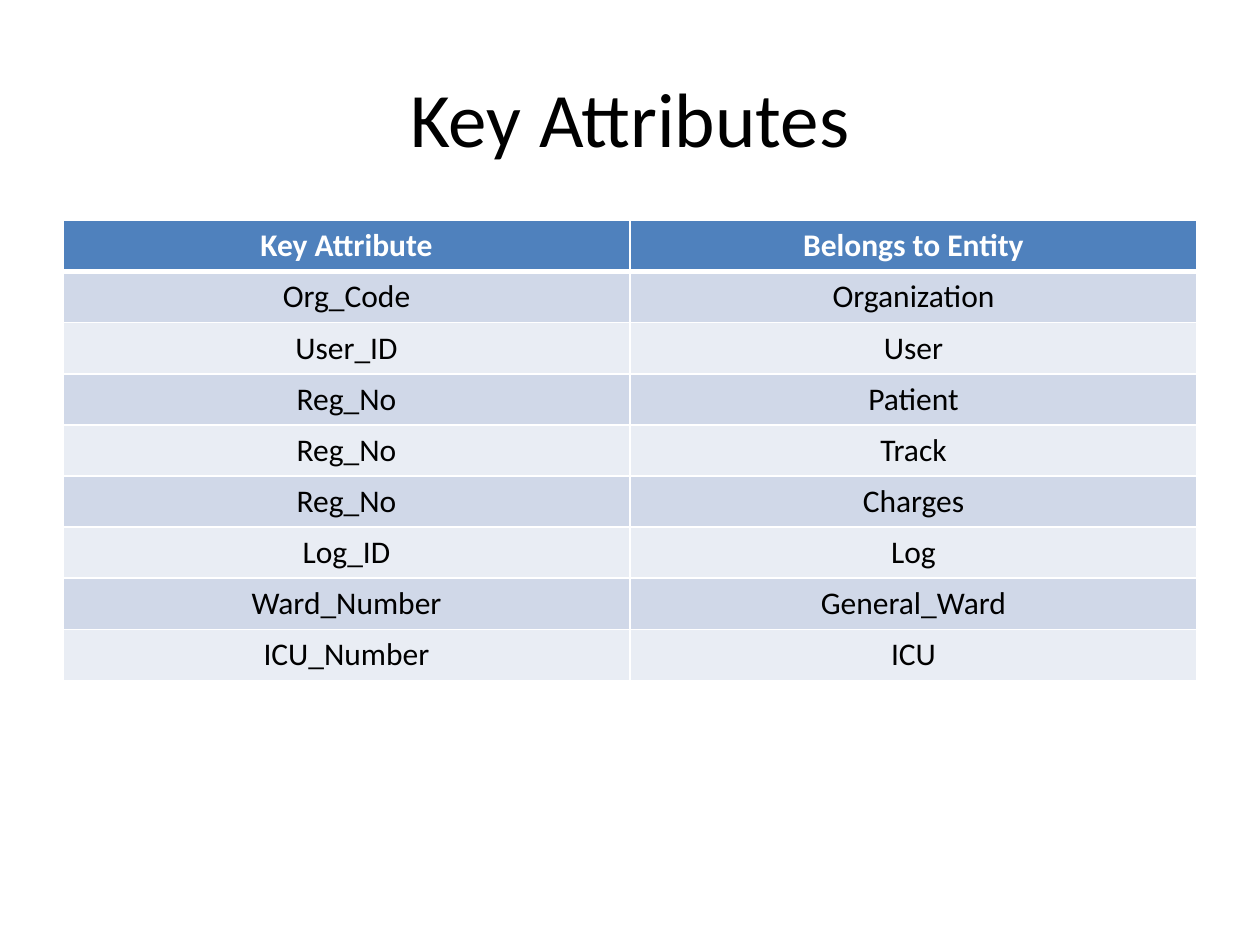
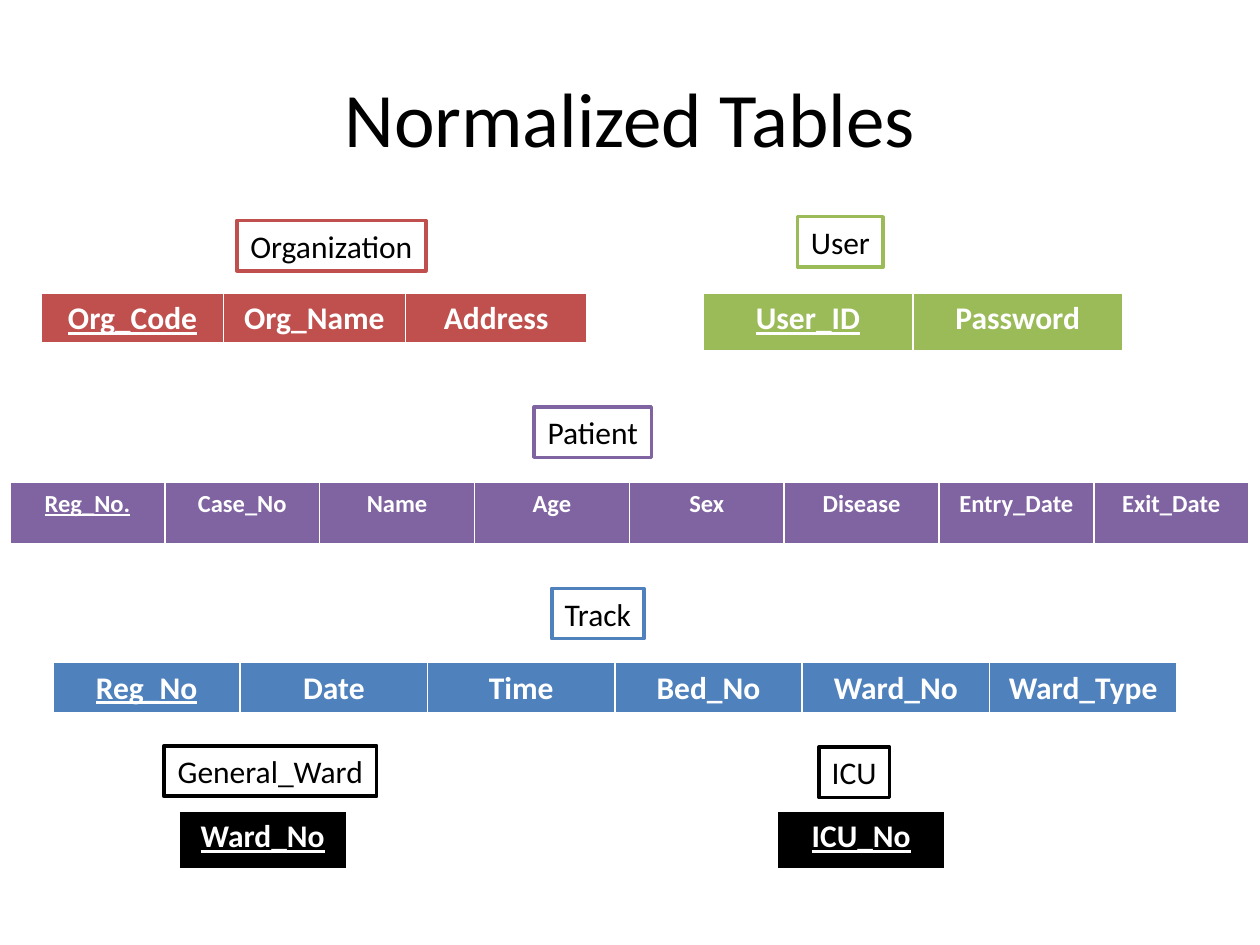
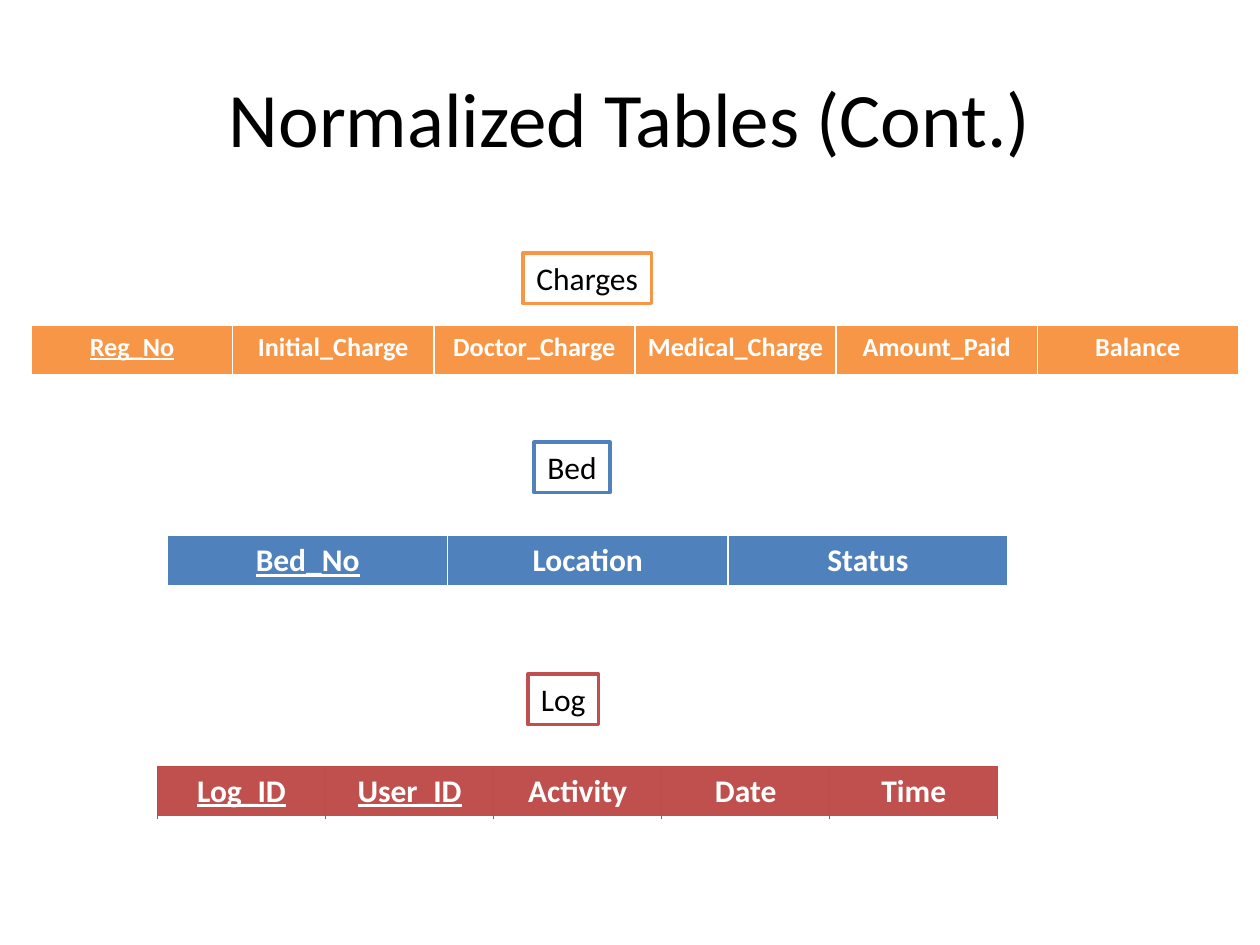
"""Build three slides that list the key attributes and normalized tables of a hospital database."""
from dataclasses import dataclass

from lxml.etree import SubElement
from pptx import Presentation
from pptx.dml.color import RGBColor
from pptx.enum.shapes import MSO_SHAPE
from pptx.enum.text import MSO_ANCHOR, MSO_AUTO_SIZE, PP_ALIGN
from pptx.oxml.ns import qn
from pptx.util import Inches, Pt

FONT = "Calibri"
BLACK = RGBColor(0x00, 0x00, 0x00)
WHITE = RGBColor(0xFF, 0xFF, 0xFF)
BLUE = RGBColor(0x4F, 0x81, 0xBD)
RED = RGBColor(0xC0, 0x50, 0x4D)
DARK_RED = RGBColor(0xBF, 0x4C, 0x48)
GREEN = RGBColor(0x9B, 0xBB, 0x59)
PURPLE = RGBColor(0x80, 0x64, 0xA2)
ORANGE = RGBColor(0xF7, 0x96, 0x46)
BANDS = (RGBColor(0xD0, 0xD8, 0xE8), RGBColor(0xE9, 0xED, 0xF4))

LABEL_HEIGHT = 0.4


@dataclass(frozen=True)
class Border:
    """Colours and widths in points of the edges of a cell."""
    side_color: RGBColor = WHITE
    side_width: float = 1
    bottom_width: float = 1


HEADER_BORDER = Border(bottom_width=3)
BODY_BORDER = Border()
LOG_BORDER = Border(DARK_RED, 0.75, 2)


@dataclass(frozen=True)
class Entity:
    """A named entity: label is left, top, width; box is left, top, width, height."""
    name: str
    color: RGBColor
    label: tuple
    box: tuple
    fields: list
    keys: int = 1
    size: int = 18
    border: Border = HEADER_BORDER


KEY_ATTRIBUTES = [
    ("Key Attribute", "Belongs to Entity"),
    ("Org_Code", "Organization"),
    ("User_ID", "User"),
    ("Reg_No", "Patient"),
    ("Reg_No", "Track"),
    ("Reg_No", "Charges"),
    ("Log_ID", "Log"),
    ("Ward_Number", "General_Ward"),
    ("ICU_Number", "ICU"),
]

ENTITY_SLIDES = {
    "Normalized Tables": [
        Entity("Organization", RED, (1.88, 1.75, 1.5), (0.33, 2.33, 4.33, 0.4),
               ["Org_Code", "Org_Name", "Address"]),
        Entity("User", GREEN, (6.33, 1.72, 0.68), (5.58, 2.33, 3.33, 0.47),
               ["User_ID", "Password"]),
        Entity("Patient", PURPLE, (4.24, 3.23, 0.93), (0.08, 3.83, 9.83, 0.5),
               ["Reg_No.", "Case_No", "Name", "Age", "Sex", "Disease",
                "Entry_Date", "Exit_Date"], size=14),
        Entity("Track", BLUE, (4.38, 4.67, 0.73), (0.42, 5.26, 8.92, 0.41),
               ["Reg_No", "Date", "Time", "Bed_No", "Ward_No", "Ward_Type"]),
        Entity("General_Ward", BLACK, (1.3, 5.92, 1.69), (1.42, 6.44, 1.33, 0.47),
               ["Ward_No"]),
        Entity("ICU", BLACK, (6.5, 5.93, 0.56), (6.17, 6.44, 1.33, 0.47), ["ICU_No"]),
    ],
    "Normalized Tables (Cont.)": [
        Entity("Charges", ORANGE, (4.15, 2.01, 1.02), (0.25, 2.58, 9.58, 0.41),
               ["Reg_No", "Initial_Charge", "Doctor_Charge", "Medical_Charge",
                "Amount_Paid", "Balance"], size=15),
        Entity("Bed", BLUE, (4.24, 3.51, 0.6), (1.33, 4.25, 6.67, 0.41),
               ["Bed_No", "Location", "Status"]),
        Entity("Log", RED, (4.19, 5.35, 0.56), (1.25, 6.08, 6.67, 0.41),
               ["Log_ID", "User_ID", "Activity", "Date", "Time"],
               keys=2, border=LOG_BORDER),
    ],
}


def write(text_frame, text, size, color, bold=False, underline=False):
    """Set one centred line of text."""
    text_frame.text = text
    paragraph = text_frame.paragraphs[0]
    paragraph.alignment = PP_ALIGN.CENTER
    font = paragraph.runs[0].font
    font.name, font.size, font.color.rgb = FONT, Pt(size), color
    font.bold, font.underline = bold, underline


def add_titled_slide(presentation, title):
    """Add a blank slide with the shared title style."""
    slide = presentation.slides.add_slide(presentation.slide_layouts[6])
    title_box = slide.shapes.add_textbox(Inches(0.5), Inches(0.3), Inches(9), Inches(1.25))
    title_box.text_frame.word_wrap = True
    title_box.text_frame.vertical_anchor = MSO_ANCHOR.MIDDLE
    write(title_box.text_frame, title, 44, BLACK)
    return slide


def set_borders(cell, border):
    """Draw the four edges of a cell."""
    properties = cell._tc.get_or_add_tcPr()
    side = (border.side_color, border.side_width)
    edges = {"a:lnL": side, "a:lnR": side, "a:lnT": side,
             "a:lnB": (WHITE, border.bottom_width)}
    for tag, (color, width) in edges.items():
        line = SubElement(properties, qn(tag), w=str(Pt(width)))
        fill = SubElement(line, qn("a:solidFill"))
        SubElement(fill, qn("a:srgbClr"), val=str(color))


def add_grid(slide, rows, box, header_color, header_border=HEADER_BORDER, size=18, keys=0):
    """Add a table with a coloured header, banded rows and underlined key fields."""
    frame = slide.shapes.add_table(len(rows), len(rows[0]), *map(Inches, box))
    for row_index, row in enumerate(rows):
        header = row_index == 0
        for column_index, text in enumerate(row):
            cell = frame.table.cell(row_index, column_index)
            set_borders(cell, header_border if header else BODY_BORDER)
            cell.fill.solid()
            cell.fill.fore_color.rgb = header_color if header else BANDS[(row_index - 1) % 2]
            write(cell.text_frame, text, size, WHITE if header else BLACK,
                  bold=header, underline=header and column_index < keys)


def add_label(slide, entity):
    """Add the outlined name of an entity."""
    left, top, width = entity.label
    label = slide.shapes.add_shape(MSO_SHAPE.RECTANGLE, Inches(left), Inches(top),
                                   Inches(width), Inches(LABEL_HEIGHT))
    label.shadow.inherit = False
    label.fill.solid()
    label.fill.fore_color.rgb = WHITE
    label.line.color.rgb = entity.color
    label.line.width = Pt(2)
    label.text_frame.word_wrap = False
    label.text_frame.auto_size = MSO_AUTO_SIZE.SHAPE_TO_FIT_TEXT
    write(label.text_frame, entity.name, 18, BLACK)


def main():
    """Build and save the presentation."""
    presentation = Presentation()
    presentation.slide_width, presentation.slide_height = Inches(10), Inches(7.5)
    slide = add_titled_slide(presentation, "Key Attributes")
    add_grid(slide, KEY_ATTRIBUTES, (0.5, 1.75, 9, 3.65), BLUE)
    for title, entities in ENTITY_SLIDES.items():
        slide = add_titled_slide(presentation, title)
        for entity in entities:
            add_grid(slide, [entity.fields], entity.box, entity.color,
                     entity.border, entity.size, entity.keys)
            add_label(slide, entity)
    presentation.save("out.pptx")


if __name__ == "__main__":
    main()
